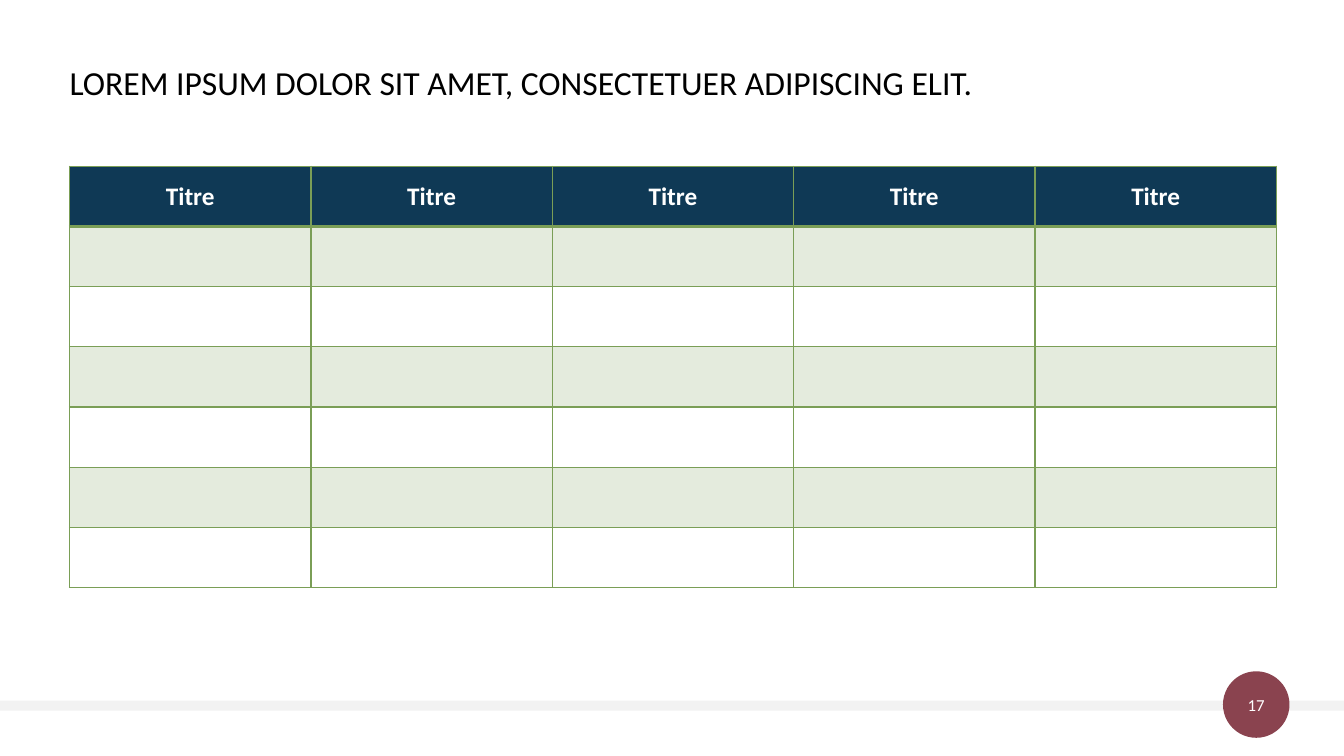
"""Build a slide with a titled five-column table and a numbered footer."""
from lxml.etree import SubElement
from pptx import Presentation
from pptx.dml.color import RGBColor
from pptx.enum.shapes import MSO_SHAPE as Shape
from pptx.enum.text import MSO_ANCHOR as Anchor, PP_ALIGN as Align
from pptx.oxml.ns import qn
from pptx.util import Inches, Pt

COLORS = {"white": "FFFFFF", "black": "000000", "navy": "0F3955",
          "green": "7A9E56", "plum": "8A434F", "band": "F2F2F2"}
TITLE = "LOREM IPSUM DOLOR SIT AMET, CONSECTETUER ADIPISCING ELIT."
HEADINGS = ["Titre"] * 5
BODY_ROWS = 6


def rgb(name):
    """Return a named colour."""
    return RGBColor.from_string(COLORS[name])


def write(frame, text, color, size, align=Align.LEFT, bold=False):
    """Write one styled paragraph and return it."""
    paragraph = frame.paragraphs[0]
    paragraph.alignment = align
    run = paragraph.add_run()
    run.text = text
    for name, value in {"name": "Calibri", "size": Pt(size), "bold": bold}.items():
        setattr(run.font, name, value)
    run.font.color.rgb = rgb(color)
    return paragraph


def add_filled(slide, kind, color, left, top, width, height):
    """Add a plain filled shape, with its box in inches."""
    shape = slide.shapes.add_shape(kind, *map(Inches, (left, top, width, height)))
    shape.shadow.inherit = False
    shape.fill.solid()
    shape.fill.fore_color.rgb = rgb(color)
    shape.line.fill.background()
    return shape


def set_frame(frame, **values):
    """Set text frame attributes."""
    for name, value in values.items():
        setattr(frame, name, value)


def add_footer(slide, left, top, width, height, number):
    """Add the footer band with the page number in a disc."""
    band_height, disc_offset = 0.1, 12.13
    add_filled(slide, Shape.RECTANGLE, "band", left,
               top + 0.29, width, band_height)
    disc = add_filled(slide, Shape.OVAL, "plum", left + disc_offset, top,
                      height, height)
    set_frame(disc.text_frame, margin_left=0, margin_right=0, margin_top=0,
              margin_bottom=0, vertical_anchor=Anchor.MIDDLE)
    write(disc.text_frame, number, "white", 12, Align.CENTER)


def add_title(slide, left, top, width, height):
    """Add the slide title."""
    title = slide.shapes.add_textbox(*map(Inches, (left, top, width, height)))
    set_frame(title.text_frame, word_wrap=True, margin_left=0,
              vertical_anchor=Anchor.TOP)
    write(title.text_frame, TITLE, "black", 24).line_spacing = 0.9


def set_borders(cell, **widths):
    """Draw green cell borders, with widths in points by side."""
    properties = cell._tc.get_or_add_tcPr()
    for side in "LRTB":
        line = SubElement(properties, qn(f"a:ln{side}"),
                          w=str(Pt(widths.get(side, 1))))
        fill = SubElement(line, qn("a:solidFill"))
        SubElement(fill, qn("a:srgbClr"), val=COLORS["green"])


def fill_cell(cell, color, alpha=100):
    """Fill a cell with a colour at an opacity in percent."""
    cell.fill.solid()
    cell.fill.fore_color.rgb = rgb(color)
    if alpha < 100:
        tint = cell._tc.tcPr.find(f"{qn('a:solidFill')}/{qn('a:srgbClr')}")
        SubElement(tint, qn("a:alpha"), val=str(alpha * 1000))


def add_grid(slide, left, top, width, height):
    """Add the table with a heading row and tinted odd rows."""
    row_count = BODY_ROWS + 1
    box = map(Inches, (left, top, width, height))
    table = slide.shapes.add_table(row_count, len(HEADINGS), *box).table
    table.first_row = table.horz_banding = False
    for column in table.columns:
        column.width = Inches(width / len(HEADINGS))
    for index, row in enumerate(table.rows):
        row.height = Inches(height / row_count)
        for heading, cell in zip(HEADINGS, row.cells):
            if index == 0:
                set_borders(cell, B=2)
                fill_cell(cell, "navy")
                cell.vertical_anchor = Anchor.MIDDLE
                write(cell.text_frame, heading, "white", 18, Align.CENTER, True)
                continue
            set_borders(cell, T=2 if index == 1 else 1)
            if index % 2:
                fill_cell(cell, "green", 20)
            else:
                cell.fill.background()


def main():
    """Build and save the slide."""
    deck = Presentation()
    deck.slide_width, deck.slide_height = Inches(13.33), Inches(7.5)
    slide = deck.slides.add_slide(deck.slide_layouts[6])
    add_footer(slide, 0, 6.66, 13.33, 0.66, "17")
    add_title(slide, 0.69, 0.61, 11.83, 0.91)
    add_grid(slide, 0.69, 1.65, 11.97, 4.18)
    deck.save("out.pptx")


if __name__ == "__main__":
    main()
